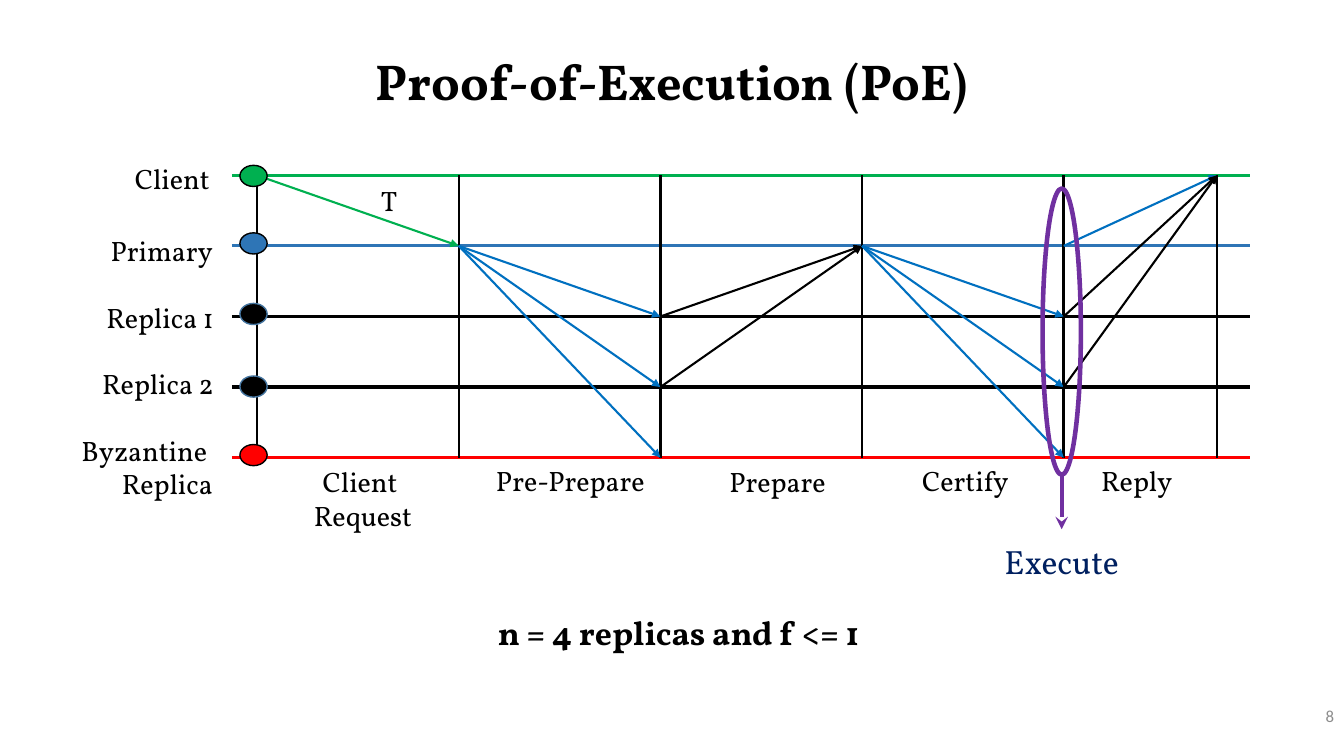
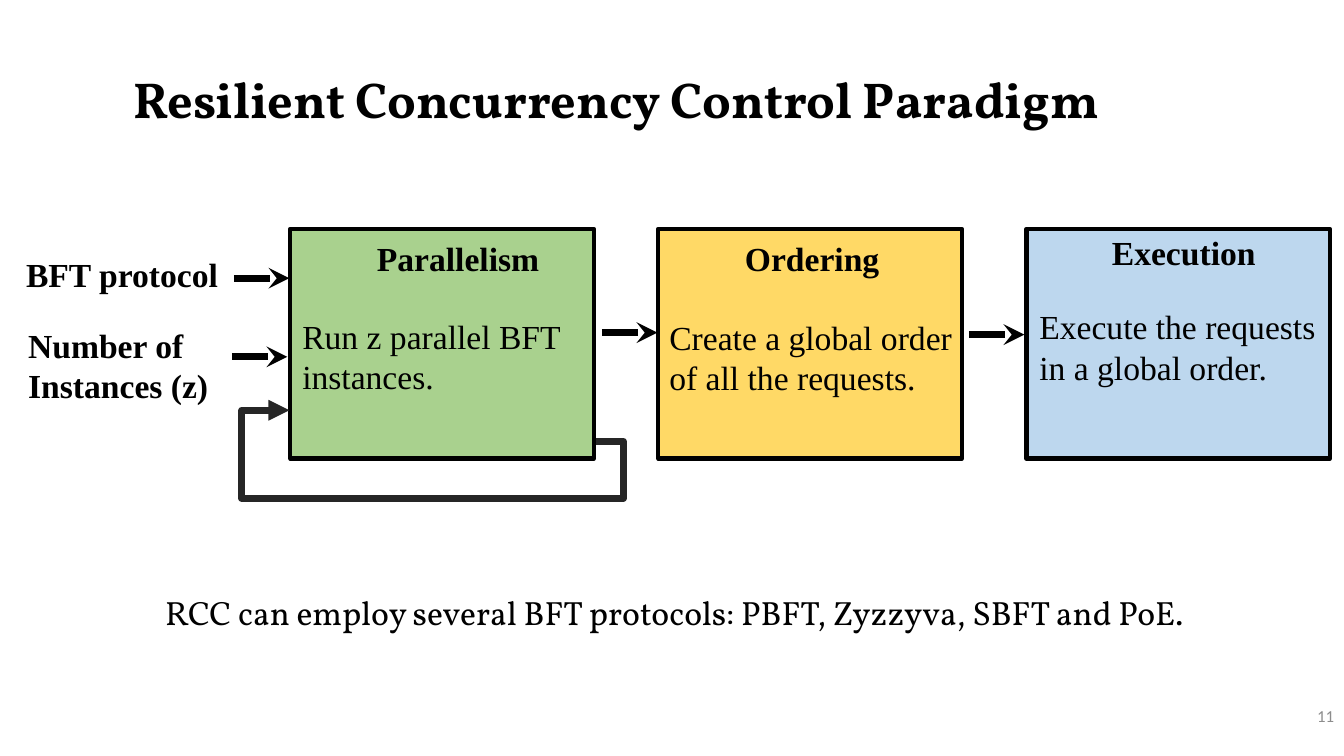
import pptx
import pptx.dml.color
import pptx.enum.shapes
import pptx.enum.text
import pptx.oxml
import pptx.oxml.ns
import pptx.util

Inches = pptx.util.Inches
Pt = pptx.util.Pt
Shape = pptx.enum.shapes.MSO_SHAPE
Connector = pptx.enum.shapes.MSO_CONNECTOR
Align = pptx.enum.text.PP_ALIGN
Anchor = pptx.enum.text.MSO_ANCHOR
AutoSize = pptx.enum.text.MSO_AUTO_SIZE

COLOURS = {
    "black": "000000",
    "grey": "8C8C8C",
    "charcoal": "262626",
    "green": "00B050",
    "steel": "2E75B6",
    "steel edge": "43739E",
    "blue": "0070C0",
    "navy": "002060",
    "red": "FF0000",
    "purple": "7030A0",
    "light green": "A9D18E",
    "light yellow": "FFD966",
    "light blue": "BDD7EE",
}


def colour(name):
    return pptx.dml.color.RGBColor.from_string(COLOURS[name])


def add_element(parent, tag, **attributes):
    element = pptx.oxml.parse_xml(f"<a:{tag} {pptx.oxml.ns.nsdecls('a')}/>")
    for name, value in attributes.items():
        element.set(name, value)
    parent.append(element)


class SlideWriter:
    body_font = "Vollkorn"
    diagram_font = "Times New Roman"
    number_font = "Calibri"

    def __init__(self):
        self.deck = pptx.Presentation()
        self.deck.slide_width = Inches(13.33)
        self.deck.slide_height = Inches(7.5)
        self.page = None

    def add_page(self, number):
        self.page = self.deck.slides.add_slide(self.deck.slide_layouts[6])
        self.text((11.63, 6.9, 1.7, 0.4), [number], size=12, font=self.number_font,
                  ink="grey", align=Align.RIGHT, anchor=Anchor.MIDDLE, grow=False)

    def text(self, area, lines, size=24, font=body_font, ink="black", bold=False,
             align=Align.LEFT, anchor=Anchor.TOP, wrap=True, grow=True, spacing=None):
        box = self.page.shapes.add_textbox(*map(Inches, area))
        frame = box.text_frame
        frame.word_wrap = wrap
        frame.auto_size = AutoSize.SHAPE_TO_FIT_TEXT if grow else AutoSize.NONE
        frame.vertical_anchor = anchor
        frame.text = "\n".join(lines)
        for para in frame.paragraphs:
            para.alignment = align
            para.line_spacing = spacing
            para.font.name = font
            para.font.size = Pt(size)
            para.font.bold = bold
            para.font.color.rgb = colour(ink)

    def banner(self, area, words, **style):
        self.text(area, [words], align=Align.CENTER, anchor=Anchor.MIDDLE, **style)

    def title(self, area, words):
        self.banner(area, words, size=36, bold=True, spacing=1.2)

    def label(self, area, lines, align):
        self.text(area, lines, size=20, align=align, wrap=False)

    def diagram_text(self, area, lines, bold=False):
        self.text(area, lines, font=self.diagram_font, bold=bold, wrap=False)

    def shape(self, kind, area, fill, edge, width):
        shape = self.page.shapes.add_shape(kind, *map(Inches, area))
        shape.shadow.inherit = False
        if fill:
            shape.fill.solid()
            shape.fill.fore_color.rgb = colour(fill)
        else:
            shape.fill.background()
        shape.line.color.rgb = colour(edge)
        shape.line.width = Pt(width)

    def line(self, start, end, ink="black", width=1.5, head=None, kind=Connector.STRAIGHT):
        line = self.page.shapes.add_connector(kind, *map(Inches, start + end))
        line.line.color.rgb = colour(ink)
        line.line.width = Pt(width)
        properties = line._element.spPr
        if head:
            add_element(line.line._get_or_add_ln(), "tailEnd", type=head)
        add_element(properties, "effectLst")
        return line

    def loop(self, corner, opposite, bends, **style):
        loop = self.line(corner, opposite, kind=Connector.ELBOW, **style)
        properties = loop._element.spPr
        properties.find(pptx.oxml.ns.qn("a:xfrm")).set("rot", "10800000")
        geometry = properties.find(pptx.oxml.ns.qn("a:prstGeom"))
        geometry.set("prst", "bentConnector5")
        guides = geometry.get_or_add_avLst()
        for index, bend in enumerate(bends, 1):
            add_element(guides, "gd", name=f"adj{index}", fmla=f"val {round(bend * 100000)}")


def build_protocol(writer):
    writer.add_page("8")
    writer.title((0, 0.35, 13.33, 0.78), "Proof-of-Execution (PoE)")

    lane_tops = [1.74 + 0.7 * lane for lane in range(5)]
    phase_lefts = [2.55 + 2 * phase for phase in range(5)] + [12.07]
    lanes = [
        ("green", "black", 1.64, (1.23, 1.55, 0.95, 0.44), ["Client"]),
        ("steel", "black", 2.31, (0.99, 2.27, 1.22, 0.44), ["Primary"]),
        ("black", "steel edge", 3.01, (0.89, 2.93, 1.33, 0.44), ["Replica 1"]),
        ("black", "steel edge", 3.73, (0.89, 3.59, 1.33, 0.44), ["Replica 2"]),
        ("red", "black", 4.41, (0.7, 4.25, 1.51, 0.77), ["Byzantine ", "Replica"]),
    ]
    phases = [
        ((3, 4.56, 1.2, 0.77), ["Client ", "Request"]),
        ((4.81, 4.55, 1.75, 0.44), ["Pre-Prepare "]),
        ((7.12, 4.56, 1.24, 0.44), ["Prepare "]),
        ((9.04, 4.55, 1.07, 0.44), ["Certify"]),
        ((10.81, 4.55, 0.93, 0.44), ["Reply"]),
    ]
    messages = [
        (0, "green", [(0, 1)]),
        (1, "blue", [(1, 2), (1, 3), (1, 4)]),
        (2, "black", [(2, 1), (3, 1)]),
        (3, "blue", [(1, 2), (1, 3), (1, 4)]),
        (4, "blue", [(1, 0)]),
        (4, "black", [(2, 0), (3, 0)]),
    ]

    for (ink, _, _, area, lines), top in zip(lanes, lane_tops):
        writer.line((2.3, top), (12.4, top), ink, 2.25)
        writer.label(area, lines, Align.RIGHT)
    for left in phase_lefts:
        writer.line((left, lane_tops[0]), (left, lane_tops[-1]), width=1.75)
    for phase, ink, hops in messages:
        for sender, receiver in hops:
            writer.line((phase_lefts[phase], lane_tops[sender]),
                        (phase_lefts[phase + 1], lane_tops[receiver]), ink, head="triangle")
    for area, lines in phases:
        writer.label(area, lines, Align.CENTER)
    writer.label((3.68, 1.77, 0.37, 0.44), ["T"], Align.LEFT)
    for fill, edge, top, _, _ in lanes:
        writer.shape(Shape.OVAL, (2.38, top, 0.27, 0.21), fill, edge, 1)

    writer.banner((0.98, 5.96, 11.5, 0.55), "n = 4 replicas and f <= 1", bold=True, spacing=1.2)
    writer.shape(Shape.OVAL, (10.34, 1.87, 0.38, 2.84), None, "purple", 3.25)
    writer.line((10.53, 4.71), (10.53, 5.25), "purple", 3, "stealth")
    writer.banner((9.68, 5.25, 1.7, 0.55), "Execute", ink="navy", spacing=1.2)


def build_paradigm(writer):
    writer.add_page("11")
    writer.title((0.04, 0.53, 12.14, 0.78), "Resilient Concurrency Control Paradigm")

    writer.diagram_text((0.16, 2.47, 2.12, 0.5), ["BFT protocol"], bold=True)
    writer.diagram_text((0.18, 3.17, 2.01, 0.91), ["Number of", "Instances (z)"], bold=True)

    stages = [
        ("light green", "Parallelism", (3.64, 2.31, 1.83, 0.5),
         ["Run z parallel BFT", "instances."], (2.9, 3.08, 2.93, 0.91)),
        ("light yellow", "Ordering", (7.29, 2.31, 1.55, 0.5),
         ["Create a global order", "of all the requests."], (6.54, 3.09, 3.11, 0.91)),
        ("light blue", "Execution", (10.93, 2.25, 1.64, 0.5),
         ["Execute the requests", "in a global order."], (10.21, 2.99, 3.05, 0.91)),
    ]
    for index, (fill, name, name_area, lines, lines_area) in enumerate(stages):
        writer.shape(Shape.RECTANGLE, (2.88 + 3.65 * index, 2.27, 3.01, 2.28), fill, "black", 3)
        writer.diagram_text(name_area, [name], bold=True)
        writer.diagram_text(lines_area, lines)

    writer.loop((2.87, 4.07), (5.91, 4.38), (-0.09, -1.815, 1.155),
                ink="charcoal", width=5, head="triangle")
    for left, top in [(2.32, 2.76), (2.3, 3.54), (5.97, 3.3), (9.61, 3.32)]:
        writer.line((left, top), (left + 0.55, top), width=5, head="stealth")
    writer.banner((0.97, 5.82, 11.5, 0.5),
                  "RCC can employ several BFT protocols: PBFT, Zyzzyva, SBFT and PoE. ")


def main():
    writer = SlideWriter()
    build_protocol(writer)
    build_paradigm(writer)
    writer.deck.save("out.pptx")


if __name__ == "__main__":
    main()
